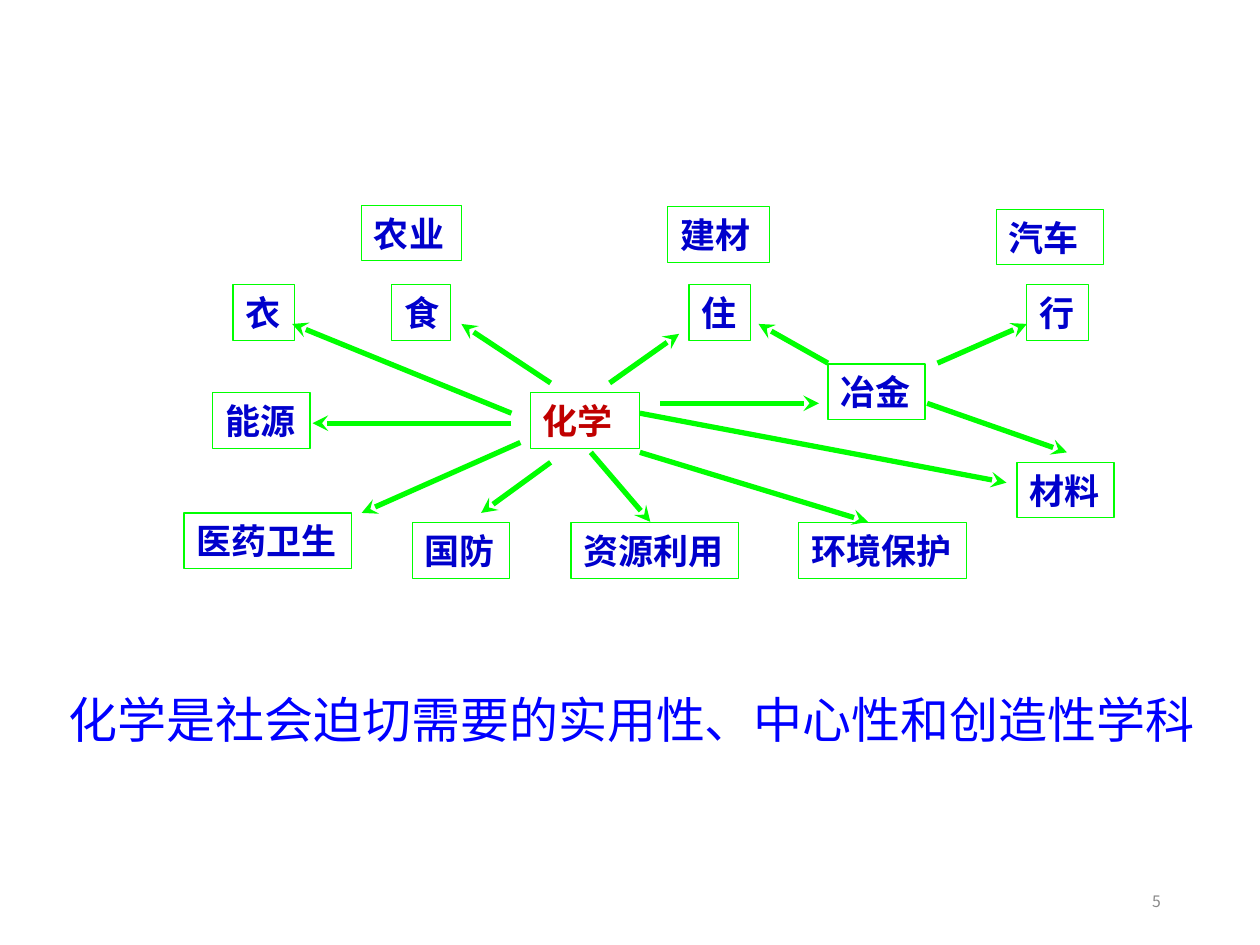
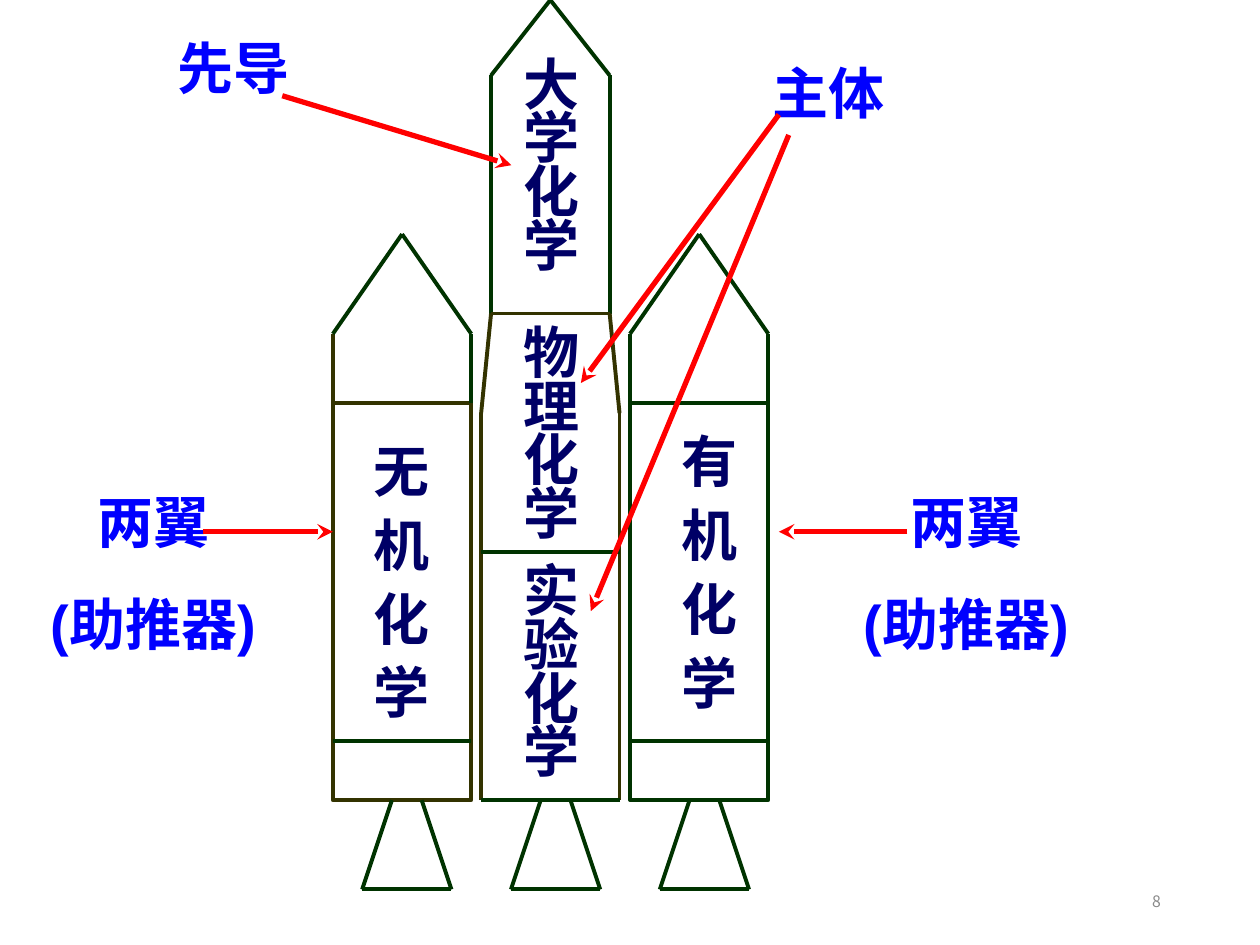
from itertools import pairwise

from lxml import etree
from pptx import Presentation
from pptx.dml.color import RGBColor
from pptx.enum.shapes import MSO_CONNECTOR, MSO_SHAPE
from pptx.enum.text import MSO_ANCHOR, PP_ALIGN
from pptx.oxml.ns import qn
from pptx.util import Cm, Pt

LEFT, MID, RIGHT = PP_ALIGN.LEFT, PP_ALIGN.CENTER, PP_ALIGN.RIGHT
CENTRE = MSO_ANCHOR.MIDDLE
RECT = MSO_SHAPE.RECTANGLE
STRAIGHT = MSO_CONNECTOR.STRAIGHT

LATIN, HAN = "Arial", "Noto Sans CJK SC"
LIME, NAVY, CRIMSON = "00FF00", "0000CC", "C00000"
BLUE, RED, GREY = "0000FF", "FF0000", "898989"
PINE, OLIVE, INK = "003300", "333300", "000066"

ROW_H = 1.12
ROWS = [
    (4.14, [("农业", 7.29, 2.01)]),
    (4.17, [("建材", 13.46, 2.06)]),
    (4.22, [("汽车", 20.09, 2.16)]),
    (5.74, [("衣", 4.7, 1.24), ("食", 7.9, 1.19),
            ("住", 13.89, 1.24), ("行", 20.7, 1.24)]),
    (7.34, [("冶金", 16.69, 1.96)]),
    (7.92, [("能源", 4.29, 1.96), ("化学", 10.69, 2.21)]),
    (9.32, [("材料", 20.5, 1.96)]),
    (10.34, [("医药卫生", 3.71, 3.38)]),
    (10.54, [("国防", 8.31, 1.96), ("资源利用", 11.51, 3.38),
             ("环境保护", 16.1, 3.38)]),
]
RAYS = [
    ((10.49, 8.92), (7.29, 10.34)),
    ((11.1, 9.32), (9.7, 10.34)),
    ((11.91, 9.12), (13.11, 10.52)),
    ((12.9, 9.12), (17.5, 10.52)),
    ((12.9, 8.33), (20.29, 9.73)),
    ((13.31, 8.13), (16.51, 8.13)),
    ((18.69, 8.13), (21.51, 9.12)),
    ((18.9, 7.32), (20.7, 6.53)),
    ((16.69, 7.32), (15.29, 6.53)),
    ((12.29, 7.72), (13.69, 6.73)),
    ((11.1, 7.72), (9.3, 6.53)),
    ((10.31, 8.33), (5.89, 6.53)),
    ((10.31, 8.53), (6.3, 8.53)),
]
LABELS = [
    ("先导", (2.11, 0.53, 5.18, 1.63)),
    ("主体", (15.32, 1.04, 2.77, 1.63)),
    ("两翼\n(助推器)", (16.89, 9.7, 5.18, 3.68)),
    ("两翼\n(助推器)", (0.51, 9.7, 5.18, 3.68)),
]
POINTERS = [
    ((5.69, 1.93), (10.31, 3.33)),
    ((15.7, 2.31), (11.71, 7.72)),
    ((15.9, 2.72), (11.91, 12.32)),
    ((4.09, 10.72), (6.71, 10.72)),
    ((18.29, 10.72), (15.7, 10.72)),
]


def rgb(code):
    """Turn a hex string into a colour."""
    return RGBColor.from_string(code)


def write(shape, text, size, color, bold=True, face=LATIN,
          align=LEFT, space=1.0, before=0):
    """Fill a shape with text, one paragraph per line."""
    frame = shape.text_frame
    frame.word_wrap = True
    frame.vertical_anchor = CENTRE
    frame.text = text
    for para in frame.paragraphs:
        para.alignment = align
        para.line_spacing = space
        para.space_before = Pt(before)
        font = para.font
        font.size, font.bold, font.name = Pt(size), bold, face
        font.color.rgb = rgb(color)
        props = para._p.get_or_add_pPr().find(qn("a:defRPr"))
        etree.SubElement(props, qn("a:ea")).set("typeface", HAN)


def add_text(slide, box, text, size, color, **style):
    """Place a text box."""
    shape = slide.shapes.add_textbox(*map(Cm, box))
    write(shape, text, size, color, **style)


def add_rect(slide, box, color, width):
    """Place a hollow rectangle."""
    shape = slide.shapes.add_shape(RECT, *map(Cm, box))
    shape.shadow.inherit = False
    shape.fill.background()
    shape.line.color.rgb = rgb(color)
    shape.line.width = Pt(width)
    return shape


def add_line(slide, start, end, color, width=2.25):
    """Draw a straight line without shadow."""
    line = slide.shapes.add_connector(STRAIGHT, *map(Cm, (*start, *end)))
    line.line.color.rgb = rgb(color)
    line.line.width = Pt(width)
    etree.SubElement(line._element.spPr, qn("a:effectLst"))
    return line


def add_arrows(slide, ends, color):
    """Draw arrows with stealth heads."""
    for start, end in ends:
        line = add_line(slide, start, end, color, 3)
        head = etree.SubElement(line.line._ln, qn("a:tailEnd"))
        head.set("type", "stealth")


def trace(slide, left, top, points, color):
    """Join points, given relative to a corner, by lines."""
    spots = [(left + x, top + y) for x, y in points]
    for start, end in pairwise(spots):
        add_line(slide, start, end, color)


def add_number(slide, number):
    """Place the slide number."""
    add_text(slide, (17.93, 17.65, 5.72, 1.02), str(number), 9, GREY,
             bold=False, face=HAN, align=RIGHT)


def add_core(slide, left, top, width, height):
    """Draw the middle stage of the rocket."""
    neck, waist, flare, joint = 0.2, 6.32, 8.33, 11.13
    far = width - neck
    trace(slide, left, top, [(neck, waist), (neck, 1.52), (width / 2, 0),
                             (far, 1.52), (far, waist)], PINE)
    trace(slide, left, top, [(0, height), (0, flare), (neck, waist),
                             (far, waist), (width, flare),
                             (width, height)], OLIVE)
    for y in (joint, height):
        trace(slide, left, top, [(0, y), (width, y)], PINE)
    for text, y in (("大学化学", 1.12), ("物理化学", 6.53),
                    ("实验化学", 11.33)):
        add_text(slide, (left + 0.61, top + y, 1.24, 4.6), text, 32, INK,
                 align=MID, space=0.8)


def add_wing(slide, left, top, width, height, text, shift, color):
    """Draw a side booster, its text shifted from the corner."""
    nose, body, belt = 2.01, 3.41, 10.22
    add_rect(slide, (left, top + body, width, height - body), color, 2.25)
    trace(slide, left, top, [(0, body), (0, nose)], color)
    trace(slide, left, top, [(0, nose), (width / 2, 0), (width, nose),
                             (width, body)], PINE)
    trace(slide, left, top, [(0, belt), (width, belt)], PINE)
    x, y = shift
    add_text(slide, (left + x, top + y, 1.24, 6.22), text, 32, INK,
             align=MID, space=1.1)


def add_jet(slide, left, top, width, height):
    """Draw a nozzle a third as wide at its top."""
    trace(slide, left, top, [(width / 3, 0), (0, height), (width, height),
                             (width * 2 / 3, 0)], PINE)


def build_map(slide):
    """Build the slide on the fields that chemistry serves."""
    add_text(slide, (1.14, 13.72, 23.5, 1.7),
             "化学是社会迫切需要的实用性、中心性和创造性学科", 28, BLUE,
             bold=False, face=HAN, space=0.9)
    for top, row in ROWS:
        for text, left, width in row:
            node = add_rect(slide, (left, top, width, ROW_H), LIME, 0.75)
            color = CRIMSON if text == "化学" else NAVY
            write(node, text, 20, color, before=12.5)
    add_arrows(slide, RAYS, LIME)
    add_number(slide, 5)


def build_rocket(slide):
    """Build the slide on the rocket of courses."""
    width, base = 2.79, 16.13
    add_core(slide, 9.7, 0, width, base)
    nose = 4.72
    for left, text, shift, color in (
            (6.71, "无机化学", (0.58, 3.81), OLIVE),
            (12.7, "有机化学", (0.79, 3.61), PINE)):
        add_wing(slide, left, nose, width, base - nose, text, shift, color)
    for i in range(3):
        add_jet(slide, 7.3 + 3 * i, base, 1.8, 1.8)
    for text, box in LABELS:
        add_text(slide, box, text, 32, BLUE, align=MID, before=20)
    add_arrows(slide, POINTERS, RED)
    add_number(slide, 8)


def main():
    """Build both slides and save them."""
    deck = Presentation()
    deck.slide_width, deck.slide_height = Cm(25.4), Cm(19.05)
    for build in (build_map, build_rocket):
        build(deck.slides.add_slide(deck.slide_layouts[6]))
    deck.save("out.pptx")


if __name__ == "__main__":
    main()
